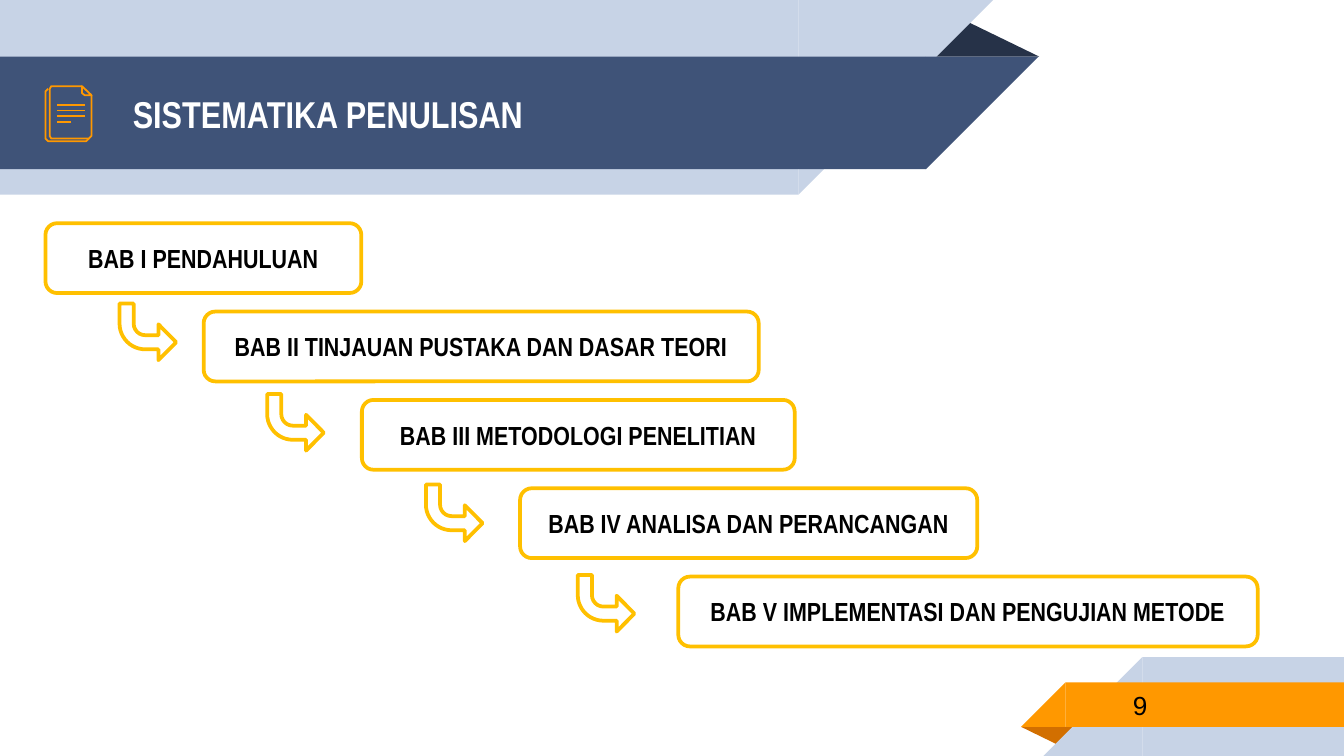
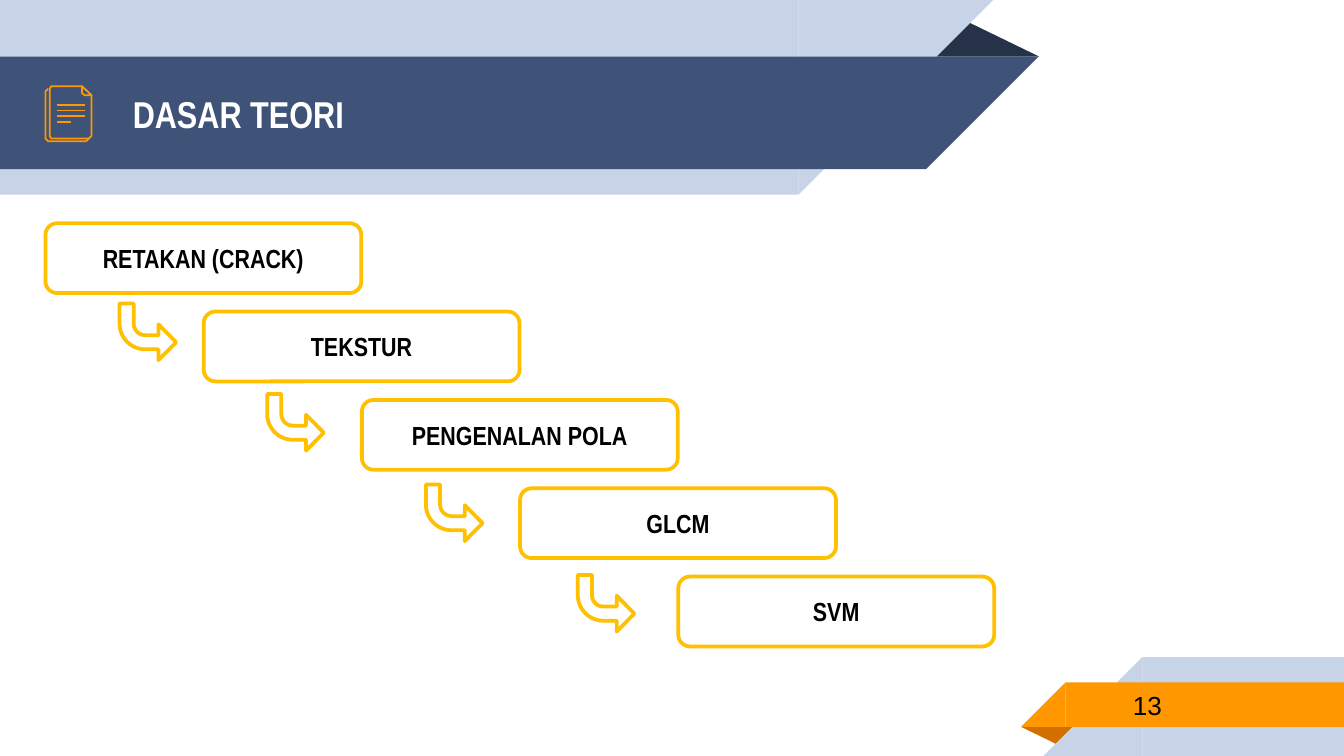
from lxml import etree
from pptx import Presentation
from pptx.dml.color import RGBColor
from pptx.enum.shapes import MSO_CONNECTOR, MSO_SHAPE
from pptx.enum.text import MSO_ANCHOR, PP_ALIGN
from pptx.oxml.ns import qn
from pptx.util import Cm, Pt

RECT = MSO_SHAPE.RECTANGLE
RIGHT_TRIANGLE = MSO_SHAPE.RIGHT_TRIANGLE
TRIANGLE = MSO_SHAPE.ISOSCELES_TRIANGLE
ROUND_RECT = MSO_SHAPE.ROUNDED_RECTANGLE
BENT_ARROW = MSO_SHAPE.BENT_ARROW
STRAIGHT = MSO_CONNECTOR.STRAIGHT
MIDDLE = MSO_ANCHOR.MIDDLE
LEFT, CENTER = PP_ALIGN.LEFT, PP_ALIGN.CENTER

COLORS = {
    "pale": "C7D3E6",
    "navy": "3F5378",
    "navy_fold": "263248",
    "orange": "FF9800",
    "orange_fold": "D26F00",
    "gold": "FFC000",
    "white": "FFFFFF",
    "black": "000000",
}
HEADING_FONT, NUMBER_FONT = "Arial Narrow", "Arial"

SLIDES = [
    {
        "title": "SISTEMATIKA PENULISAN",
        "page": "9",
        "steps": [
            ("BAB I PENDAHULUAN", 5.97),
            ("BAB II TINJAUAN PUSTAKA DAN DASAR TEORI", 10.49),
            ("BAB III METODOLOGI PENELITIAN", 8.18),
            ("BAB IV ANALISA DAN PERANCANGAN", 8.64),
            ("BAB V IMPLEMENTASI DAN PENGUJIAN METODE", 10.95),
        ],
    },
    {
        "title": "DASAR TEORI",
        "page": "13",
        "steps": [
            (topic, 5.97)
            for topic in ("RETAKAN (CRACK)", "TEKSTUR", "PENGENALAN POLA", "GLCM", "SVM")
        ],
    },
]

SLIDE_WIDTH, SLIDE_HEIGHT = 25.4, 14.29
TITLE_BOX = (2.26, 1.09, 14.61, 2.13)
PAGE_BOX = (21.16, 12.88, 4.14, 0.89)
HEADER_BANDS = [(0, 15.09, 3.68, "pale"), (1.07, 17.5, 2.13, "navy")]
FOOTER_BANDS = [(12.42, 21.59, 1.87, "pale"), (12.9, 20.14, 0.84, "orange")]
HEADER_FOLD = (17.48, 0.36, 2.16, 0.71)
FOOTER_FOLD = (19.3, 13.74, 1.09, 0.36)

STEP_LEFT, STEP_TOP, STEP_HEIGHT = 0.86, 4.22, 1.32
STEP_SHIFT, STEP_DROP = 2.99, 1.67
ARROW_LEFTS = (2.26, 5.05, 8.05, 10.92)
ARROW_TOP, ARROW_DROP, ARROW_SIZE = 5.74, 1.71, 1.07
ARROW_BENDS = (0.25, 0.317, 0.313, 0.455)

PAGE_OUTLINES = [
    ([(1.68, 2.62), (1.63, 2.67), (0.91, 2.67), (0.86, 2.62), (0.86, 1.73), (0.91, 1.68)], False),
    ([(1.73, 1.8), (1.73, 2.57), (1.68, 2.62), (0.97, 2.62), (0.94, 2.57), (0.94, 1.68),
      (0.97, 1.63), (1.55, 1.63)], False),
    ([(1.55, 1.76), (1.55, 1.63), (1.73, 1.8), (1.6, 1.8)], True),
]
WRITING_LEFT, WRITING_TOP, WRITING_GAP = 1.07, 1.98, 0.11
WRITING_LENGTHS = (0.53, 0.53, 0.53, 0.28)


def color(key):
    return RGBColor.from_string(COLORS[key])


def lengths(box):
    return [Cm(value) for value in box]


def add_filled(slide, kind, box, fill):
    shape = slide.shapes.add_shape(kind, *lengths(box))
    shape.shadow.inherit = False
    shape.fill.solid()
    shape.fill.fore_color.rgb = color(fill)
    shape.line.fill.background()
    return shape


def add_outlined(slide, kind, box):
    shape = slide.shapes.add_shape(kind, *lengths(box))
    shape.shadow.inherit = False
    shape.fill.background()
    shape.line.color.rgb = color("gold")
    shape.line.width = Pt(2)
    return shape


def flip(shape, direction):
    shape.element.spPr.find(qn("a:xfrm")).set(direction, "1")


def write(shape, text, size, ink, font, bold, align):
    frame = shape.text_frame
    frame.word_wrap = True
    frame.vertical_anchor = MIDDLE
    paragraph = frame.paragraphs[0]
    paragraph.alignment = align
    run = paragraph.add_run()
    run.text = text
    run.font.size = Pt(size)
    run.font.name = font
    run.font.bold = bold
    run.font.color.rgb = color(ink)


def set_margins(shape):
    frame = shape.text_frame
    frame.margin_left = frame.margin_right = Cm(0.25)
    frame.margin_top = frame.margin_bottom = Cm(0.25)


def draw_bands(slide):
    fold = add_filled(slide, TRIANGLE, HEADER_FOLD, "navy_fold")
    fold.adjustments[0] = 0.324
    for top, width, height, fill in HEADER_BANDS:
        add_filled(slide, RECT, (0, top, width, height), fill)
        slant = add_filled(slide, RIGHT_TRIANGLE, (width, top, height, height), fill)
        slant.rotation = 180
        flip(slant, "flipH")
    fold = add_filled(slide, TRIANGLE, FOOTER_FOLD, "orange_fold")
    fold.adjustments[0] = 0.324
    fold.rotation = 180
    for top, left, height, fill in FOOTER_BANDS:
        add_filled(slide, RECT, (left, top, SLIDE_WIDTH - left, height), fill)
        slant = add_filled(slide, RIGHT_TRIANGLE, (left - height, top, height, height), fill)
        flip(slant, "flipH")


def move_bands_to_layout(slide, layout):
    bands = [shape for shape in slide.shapes if not shape.is_placeholder]
    for number, band in enumerate(bands, start=100):
        band.element.nvSpPr.cNvPr.set("id", str(number))
        layout.shapes.element.append(band.element)


def draw_document_icon(slide):
    icon = slide.shapes.add_group_shape()
    strokes = []
    for points, closed in PAGE_OUTLINES:
        start, *rest = [lengths(point) for point in points]
        builder = icon.shapes.build_freeform(*start)
        builder.add_line_segments(rest, close=closed)
        outline = builder.convert_to_shape()
        outline.shadow.inherit = False
        outline.fill.background()
        strokes.append(outline)
    for row, length in enumerate(WRITING_LENGTHS):
        y = WRITING_TOP + row * WRITING_GAP
        ends = lengths((WRITING_LEFT + length, y, WRITING_LEFT, y))
        writing = icon.shapes.add_connector(STRAIGHT, *ends)
        etree.SubElement(writing.element.spPr, qn("a:effectLst"))
        strokes.append(writing)
    for stroke in strokes:
        stroke.line.color.rgb = color("orange")
        stroke.line.width = Pt(0.96)


def draw_steps(slide, steps):
    for index, (label, width) in enumerate(steps):
        left = STEP_LEFT + index * STEP_SHIFT
        top = STEP_TOP + index * STEP_DROP
        step = add_outlined(slide, ROUND_RECT, (left, top, width, STEP_HEIGHT))
        write(step, label, 14, "black", HEADING_FONT, True, CENTER)
    for index, left in enumerate(ARROW_LEFTS):
        top = ARROW_TOP + index * ARROW_DROP
        arrow = add_outlined(slide, BENT_ARROW, (left, top, ARROW_SIZE, ARROW_SIZE))
        for position, bend in enumerate(ARROW_BENDS):
            arrow.adjustments[position] = bend
        flip(arrow, "flipV")


def fill_slide(slide, content):
    title = slide.shapes.title
    title.left, title.top, title.width, title.height = lengths(TITLE_BOX)
    set_margins(title)
    write(title, content["title"], 20, "white", HEADING_FONT, True, LEFT)
    page = slide.shapes.add_textbox(*lengths(PAGE_BOX))
    set_margins(page)
    write(page, content["page"], 14, "black", NUMBER_FONT, False, LEFT)
    draw_document_icon(slide)
    draw_steps(slide, content["steps"])


def main():
    deck = Presentation()
    deck.slide_width, deck.slide_height = Cm(SLIDE_WIDTH), Cm(SLIDE_HEIGHT)
    layout = deck.slide_layouts[5]
    slides = [deck.slides.add_slide(layout) for _ in SLIDES]
    draw_bands(slides[0])
    move_bands_to_layout(slides[0], layout)
    for slide, content in zip(slides, SLIDES):
        fill_slide(slide, content)
    deck.save("out.pptx")


if __name__ == "__main__":
    main()
